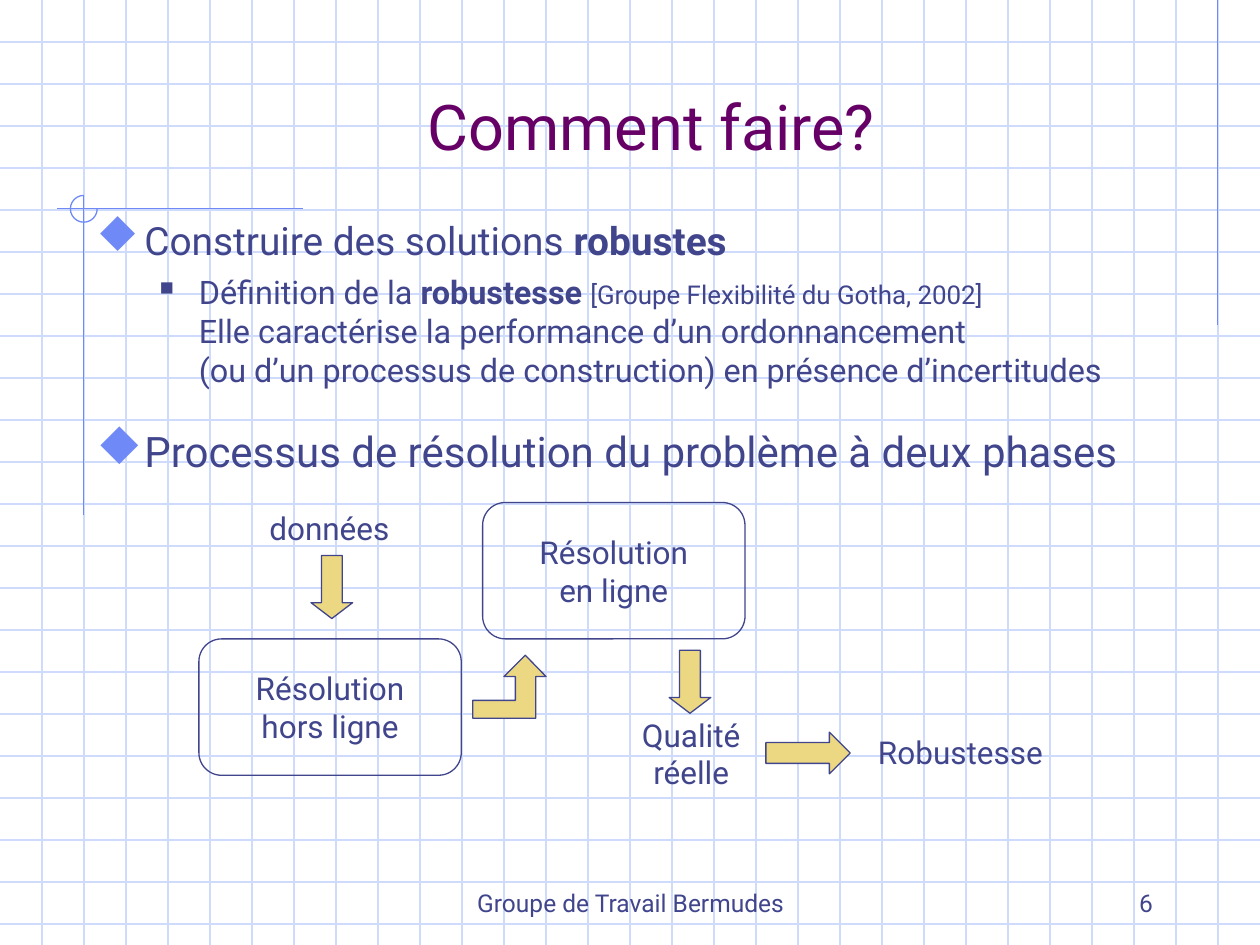
import pptx
import pptx.dml.color
import pptx.enum.shapes
import pptx.enum.text
import pptx.oxml.ns
import pptx.util
from lxml import etree

Cm = pptx.util.Cm
Pt = pptx.util.Pt
Shape = pptx.enum.shapes.MSO_SHAPE
Anchor = pptx.enum.text.MSO_ANCHOR
Align = pptx.enum.text.PP_ALIGN
qn = pptx.oxml.ns.qn

WIDTH, HEIGHT = 25.4, 19.05
GRID_STEP = WIDTH / 30
# Codes of the bullet signs in the Wingdings symbol font
DIAMOND, SQUARE = "u", "n"


def color(hex_string):
    return pptx.dml.color.RGBColor.from_string(hex_string)


class SlideBuilder:
    """Holds the style and the slide being built; lengths are centimetres."""

    font = "Roboto"
    bullet_font = "Wingdings"
    ink = "40458C"
    accent = "6F89F7"
    grid = "CFDBFD"
    title = "660066"
    arrow_fill = "ECD882"
    line_width = 0.75

    def __init__(self, slide):
        self.slide = slide

    def line(self, x1, y1, x2, y2, hex_string):
        connector = self.slide.shapes.add_connector(
            pptx.enum.shapes.MSO_CONNECTOR.STRAIGHT, Cm(x1), Cm(y1), Cm(x2), Cm(y2))
        connector.line.color.rgb = color(hex_string)
        connector.line.width = Pt(self.line_width)
        etree.SubElement(connector._element.spPr, qn("a:effectLst"))

    def style_shape(self, shape, fill, line):
        shape.shadow.inherit = False
        if fill:
            shape.fill.solid()
            shape.fill.fore_color.rgb = color(fill)
        else:
            shape.fill.background()
        shape.line.color.rgb = color(line)
        shape.line.width = Pt(self.line_width)

    def shape(self, kind, left, top, width, height, fill=None, line=ink, adjustments=()):
        shape = self.slide.shapes.add_shape(kind, Cm(left), Cm(top), Cm(width), Cm(height))
        for index, value in enumerate(adjustments):
            shape.adjustments[index] = value
        self.style_shape(shape, fill, line)
        return shape

    def outline(self, points, fill):
        """Draw a closed polygon."""
        corners = [(Cm(x), Cm(y)) for x, y in points]
        builder = self.slide.shapes.build_freeform(*corners[0], scale=1.0)
        builder.add_line_segments(corners[1:], close=True)
        self.style_shape(builder.convert_to_shape(), fill, self.ink)

    def run(self, paragraph, text, size, bold=False, hex_string=ink):
        run = paragraph.add_run()
        run.text = text
        run.font.name = self.font
        run.font.size = Pt(size)
        run.font.bold = bold
        run.font.color.rgb = color(hex_string)

    def lines(self, frame, texts, size, align, hex_string=ink):
        """Write one paragraph for each text."""
        for index, text in enumerate(texts):
            paragraph = frame.add_paragraph() if index else frame.paragraphs[0]
            paragraph.alignment = align
            self.run(paragraph, text, size, hex_string=hex_string)

    def text_frame(self, left, top, width, height, anchor=Anchor.TOP, wrap=True):
        box = self.slide.shapes.add_textbox(Cm(left), Cm(top), Cm(width), Cm(height))
        frame = box.text_frame
        frame.word_wrap = wrap
        frame.vertical_anchor = anchor
        return frame

    def label(self, left, top, width, height, texts, align=Align.LEFT):
        frame = self.text_frame(left, top, width, height, wrap=False)
        self.lines(frame, texts, 18, align)

    def step_box(self, left, top, texts):
        box = self.shape(Shape.ROUNDED_RECTANGLE, left, top, 5.29, 2.75)
        box.text_frame.word_wrap = False
        box.text_frame.vertical_anchor = Anchor.MIDDLE
        self.lines(box.text_frame, texts, 18, Align.CENTER)

    def bullet(self, paragraph, character, hex_string, percent, margin, hanging):
        properties = paragraph._p.get_or_add_pPr()
        properties.set("marL", str(Cm(margin)))
        properties.set("indent", str(-Cm(hanging)))
        bullet_color = etree.SubElement(properties, qn("a:buClr"))
        etree.SubElement(bullet_color, qn("a:srgbClr"), val=hex_string)
        etree.SubElement(properties, qn("a:buSzPct"), val=str(percent * 1000))
        etree.SubElement(properties, qn("a:buFont"), typeface=self.bullet_font,
                         pitchFamily="2", charset="2")
        etree.SubElement(properties, qn("a:buChar"), char=character)

    def main_bullet(self, paragraph):
        self.bullet(paragraph, DIAMOND, self.accent, 110, 0.96, 0.96)


def add_background(builder):
    for row in range(1, 23):
        builder.line(0, row * GRID_STEP, WIDTH, row * GRID_STEP, builder.grid)
    for column in range(1, 30):
        builder.line(column * GRID_STEP, 0, column * GRID_STEP, HEIGHT, builder.grid)
    for ends in ((24.55, 0, 24.55, 6.55), (6.1, 4.21, 1.14, 4.21), (1.69, 3.94, 1.69, 10.39)):
        builder.line(*ends, builder.accent)
    # Three quarters of a circle, clockwise from the right; angles in 0.6 of a degree
    # (60000ths of a degree, divided by 100000).
    builder.shape(Shape.ARC, 1.42, 3.94, 0.54, 0.54, line=builder.accent,
                  adjustments=(0, 270 * 0.6))


def add_text(builder):
    frame = builder.text_frame(1.7, 0.84, 22.86, 3.38, Anchor.MIDDLE)
    builder.lines(frame, ["Comment faire?"], 36, Align.CENTER, builder.title)

    frame = builder.text_frame(1.7, 4.24, 22.86, 4.01)
    paragraph = frame.paragraphs[0]
    builder.main_bullet(paragraph)
    builder.run(paragraph, "Construire des solutions ", 22.2)
    builder.run(paragraph, "robustes", 22.2, bold=True)

    paragraph = frame.add_paragraph()
    paragraph.space_before = Pt(5)
    builder.bullet(paragraph, SQUARE, builder.ink, 60, 2.06, 0.79)
    builder.run(paragraph, "Définition de la ", 18.5)
    builder.run(paragraph, "robustesse ", 18.5, bold=True)
    builder.run(paragraph, "[Groupe Flexibilité du Gotha, 2002]", 14.8)
    for text in ("Elle caractérise la performance d’un ordonnancement",
                 "(ou d’un processus de construction) en présence d’incertitudes"):
        paragraph.add_line_break()
        builder.run(paragraph, text, 18.5)

    paragraph = builder.text_frame(1.7, 8.46, 22.86, 4.01).paragraphs[0]
    builder.main_bullet(paragraph)
    builder.run(paragraph, "Processus de résolution du problème à deux phases", 24)

    for left, width, text, align in ((8.69, 8.05, "Groupe de Travail Bermudes", Align.CENTER),
                                     (18.21, 5.28, "6", Align.RIGHT)):
        frame = builder.text_frame(left, 17.35, width, 1.27, Anchor.BOTTOM)
        builder.lines(frame, [text], 14, align)


def add_process(builder):
    builder.label(5.18, 10.13, 3.07, 1.02, ["données"])
    for left, top in ((6.27, 11.2), (13.49, 13.11)):
        builder.shape(Shape.DOWN_ARROW, left, top, 0.84, 1.27, builder.arrow_fill,
                      adjustments=(0.5, 0.38))
    builder.outline([(9.53, 14.12), (10.39, 14.12), (10.39, 13.64), (10.16, 13.64),
                     (10.59, 13.21), (11.01, 13.64), (10.8, 13.64), (10.8, 14.48),
                     (9.53, 14.48)], builder.arrow_fill)
    builder.step_box(4.01, 12.88, ["Résolution", "hors ligne"])
    builder.step_box(9.73, 10.13, ["Résolution", "en ligne"])
    builder.label(12.6, 14.3, 2.67, 1.78, ["Qualité", "réelle"], Align.CENTER)
    builder.label(17.45, 14.66, 3.91, 1.02, ["Robustesse"])
    builder.shape(Shape.RIGHT_ARROW, 15.44, 14.76, 1.7, 0.84, builder.arrow_fill)


def main():
    presentation = pptx.Presentation()
    presentation.slide_width = Cm(WIDTH)
    presentation.slide_height = Cm(HEIGHT)
    builder = SlideBuilder(presentation.slides.add_slide(presentation.slide_layouts[6]))
    add_background(builder)
    add_text(builder)
    add_process(builder)
    presentation.save("out.pptx")


if __name__ == "__main__":
    main()
